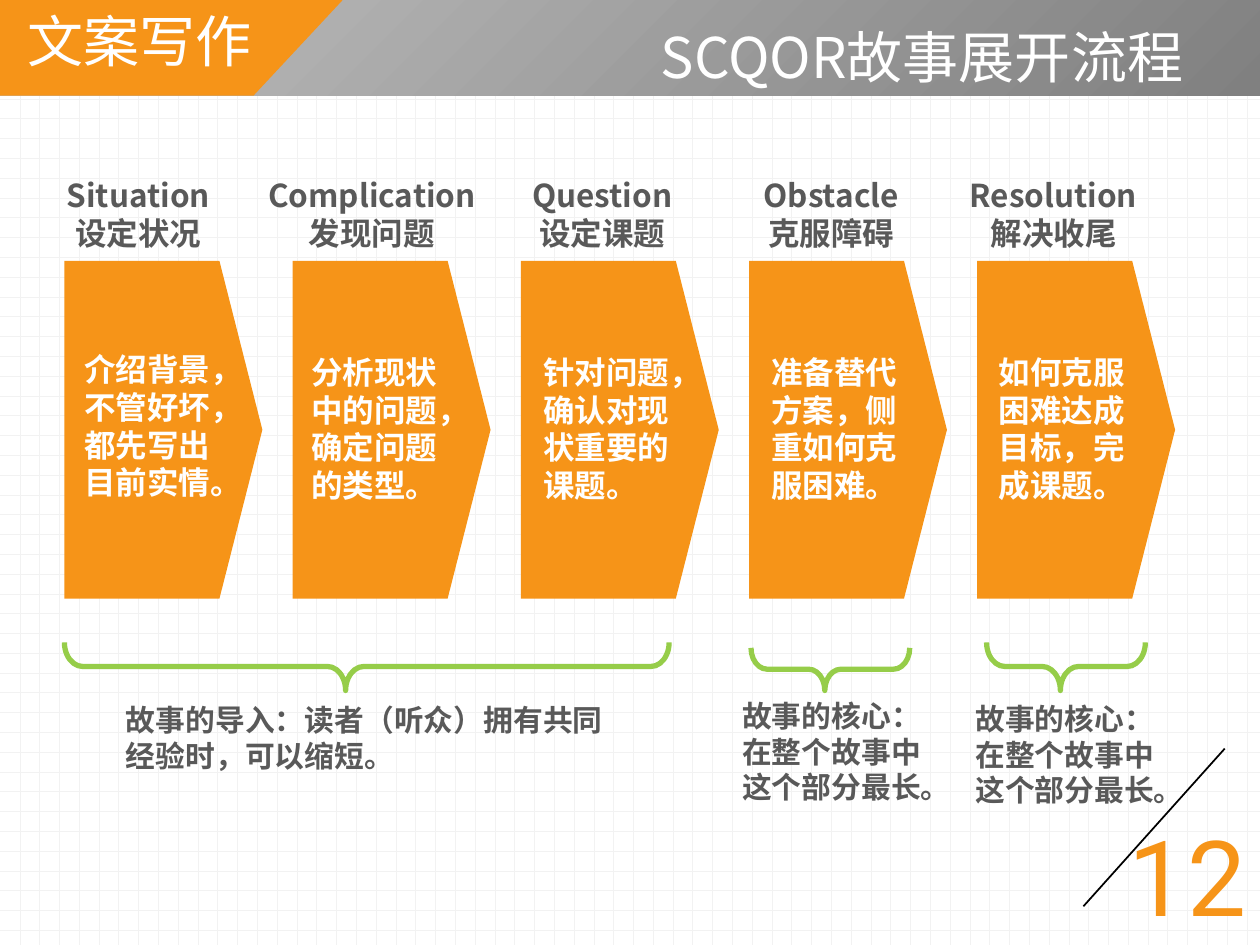
from dataclasses import dataclass

from lxml.etree import SubElement
from pptx import Presentation
from pptx.dml.color import RGBColor
from pptx.enum.dml import MSO_PATTERN
from pptx.enum.shapes import MSO_CONNECTOR, MSO_SHAPE
from pptx.enum.text import MSO_ANCHOR, MSO_AUTO_SIZE, PP_ALIGN
from pptx.oxml import parse_xml
from pptx.oxml.ns import nsdecls, qn
from pptx.util import Cm, Pt


@dataclass(frozen=True)
class Theme:
    orange: RGBColor = RGBColor(0xF6, 0x94, 0x18)
    green: RGBColor = RGBColor(0x96, 0xCD, 0x49)
    white: RGBColor = RGBColor(0xFF, 0xFF, 0xFF)
    black: RGBColor = RGBColor(0, 0, 0)
    text: RGBColor = RGBColor(0x59, 0x59, 0x59)
    grid: RGBColor = RGBColor(0xF2, 0xF2, 0xF2)
    header_dark: RGBColor = RGBColor(0x80, 0x80, 0x80)
    header_light: RGBColor = RGBColor(0xBF, 0xBF, 0xBF)
    font: str = "Noto Sans CJK SC"
    tab_font: str = "Noto Sans CJK JP"
    number_font: str = "Roboto"
    title_size: int = 32
    stage_size: int = 18
    note_size: int = 17
    number_size: int = 60
    line_pitch: float = 1.2


THEME = Theme()

# heading, heading centre and width, body, body left, top and width (cm, from the arrow's corner)
STAGES = [
    (["Situation", "设定状况"], 1.49, 3.63,
     "介绍背景，不管好坏，都先写出目前实情。", 0.15, 1.67, 3.12),
    (["Complication", "发现问题"], 1.6, 4.78,
     "分析现状中的问题，确定问题的类型。", 0.13, 1.73, 3.12),
    (["Question", "设定课题"], 1.64, 3.63,
     "针对问题，确认对现状重要的课题。", 0.2, 1.73, 3.12),
    (["Obstacle", "克服障碍"], 1.66, 3.63,
     "准备替代方案，侧重如何克服困难。", 0.2, 1.73, 3.18),
    (["Resolution", "解决收尾"], 1.54, 3.99,
     "如何克服困难达成目标，完成课题。", 0.18, 1.73, 3.38),
]

CORE_NOTE = "故事的核心：在整个故事中这个部分最长。"
# brace box, note, note box
NOTES = [
    ((1.3, 12.95, 12.19, 0.97),
     "故事的导入：读者（听众）拥有共同经验时，可以缩短。", (2.29, 14.02, 10.21, 1.7)),
    ((15.14, 13.06, 3.2, 0.86), CORE_NOTE, (14.71, 13.94, 4.55, 2.44)),
    ((19.89, 12.95, 3.2, 0.97), CORE_NOTE, (19.41, 14, 4.29, 2.44)),
]


def write(text_frame, lines, size, color, font=THEME.font, bold=False,
          alignment=PP_ALIGN.LEFT, pitch=THEME.line_pitch):
    text_frame.word_wrap = True
    text_frame.text = "\n".join(lines)
    for paragraph in text_frame.paragraphs:
        paragraph.alignment = alignment
        paragraph.space_before = Pt(0)
        if pitch:
            paragraph.line_spacing = Pt(round(size * pitch, 1))
        for run in paragraph.runs:
            run.font.size = Pt(size)
            run.font.bold = bold
            run.font.name = font
            run.font.color.rgb = color
            east_asian = SubElement(run.font._element, qn("a:ea"))
            east_asian.set("typeface", font)


def add_text(slide, box, lines, *style, **options):
    shape = slide.shapes.add_textbox(*map(Cm, box))
    write(shape.text_frame, lines, *style, **options)
    shape.text_frame.auto_size = MSO_AUTO_SIZE.SHAPE_TO_FIT_TEXT
    return shape


def fill_plain(shape, color):
    shape.shadow.inherit = False
    shape.fill.solid()
    shape.fill.fore_color.rgb = color
    shape.line.fill.background()


def add_header(slide, box):
    left, top, width, height = box
    band = slide.shapes.add_shape(MSO_SHAPE.RECTANGLE, *map(Cm, box))
    fill_plain(band, THEME.header_dark)
    band.fill.gradient()
    stops = band.fill.gradient_stops
    for stop, position, color in zip(stops, (0, 1), (THEME.header_dark, THEME.header_light)):
        stop.position = position
        stop.color.rgb = color
    linear = band.element.find(".//" + qn("a:lin"))
    linear.getparent().replace(linear, parse_xml(
        f'<a:path {nsdecls("a")} path="circle"><a:fillToRect l="100000" t="100000"/></a:path>'))

    builder = slide.shapes.build_freeform(Cm(left), Cm(top))
    builder.add_line_segments([(Cm(left + 6.91), Cm(top)),
                               (Cm(left + 5.11), Cm(top + height)),
                               (Cm(left), Cm(top + height))])
    fill_plain(builder.convert_to_shape(), THEME.orange)

    title = slide.shapes.title
    title.left, title.top = Cm(left + 6.3), Cm(top + 0.36)
    title.width, title.height = Cm(17.81), Cm(1.55)
    write(title.text_frame, ["SCQOR故事展开流程"], THEME.title_size, THEME.white,
          alignment=PP_ALIGN.RIGHT)
    title.text_frame.vertical_anchor = MSO_ANCHOR.MIDDLE
    title.element.getparent().append(title.element)

    add_text(slide, (left + 0.3, top, 6.2, 1.63), ["文案写作"],
             THEME.title_size, THEME.white, font=THEME.tab_font)


def add_stage(slide, box, stage):
    left, top, width, height = box
    heading, centre, heading_width, body, body_left, body_top, body_width = stage
    arrow = slide.shapes.add_shape(MSO_SHAPE.PENTAGON, *map(Cm, box))
    arrow.adjustments[0] = 0.217
    fill_plain(arrow, THEME.orange)
    add_text(slide, (left + body_left, top + body_top, body_width, 3.33), [body],
             THEME.stage_size, THEME.white, bold=True)
    add_text(slide, (left + centre - heading_width / 2, top - 1.83, heading_width, 1.8),
             heading, THEME.stage_size, THEME.text, bold=True, alignment=PP_ALIGN.CENTER)


def add_brace(slide, box):
    """Fit a left brace, turned to point down, into the box."""
    left, top, width, height = box
    brace = slide.shapes.add_shape(
        MSO_SHAPE.LEFT_BRACE, Cm(left + (width - height) / 2),
        Cm(top + (height - width) / 2), Cm(height), Cm(width))
    brace.rotation = 270
    brace.adjustments[0] = 0.378
    brace.adjustments[1] = 0.465
    brace.shadow.inherit = False
    brace.fill.background()
    brace.line.color.rgb = THEME.green
    brace.line.width = Pt(3)


def add_page_number(slide, box):
    left, top, width, height = box
    slash = slide.shapes.add_connector(
        MSO_CONNECTOR.STRAIGHT, Cm(left + 2.85), Cm(top), Cm(left), Cm(top + 3.18))
    slash.line.color.rgb = THEME.black
    slash.line.width = Pt(1)
    SubElement(slash.element.spPr, qn("a:effectLst"))
    add_text(slide, (left + 0.66, top + 1.14, width - 0.66, height - 1.14), ["12"],
             THEME.number_size, THEME.orange, font=THEME.number_font, pitch=None)


def main():
    presentation = Presentation()
    presentation.slide_width, presentation.slide_height = Cm(25.4), Cm(19.05)
    slide = presentation.slides.add_slide(presentation.slide_layouts[5])
    background = slide.background.fill
    background.patterned()
    background.pattern = MSO_PATTERN.DOTTED_GRID
    background.fore_color.rgb = THEME.grid
    background.back_color.rgb = THEME.white

    add_header(slide, (0, 0, 25.4, 1.93))
    for index, stage in enumerate(STAGES):
        add_stage(slide, (1.3 + 4.6 * index, 5.26, 3.99, 6.81), stage)
    for brace_box, note, note_box in NOTES:
        add_brace(slide, brace_box)
        add_text(slide, note_box, [note], THEME.note_size, THEME.text, bold=True)
    add_page_number(slide, (21.84, 15.09, 4.06, 3.96))
    presentation.save("out.pptx")


if __name__ == "__main__":
    main()
